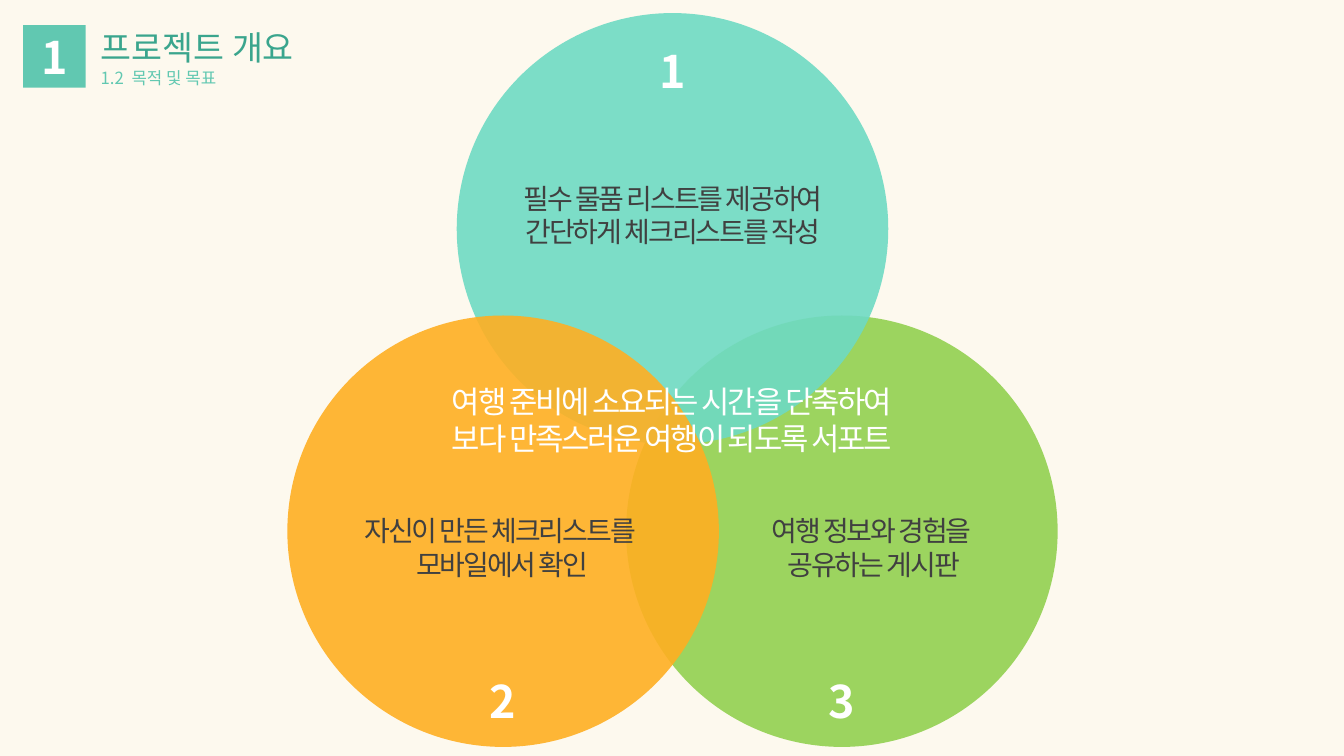
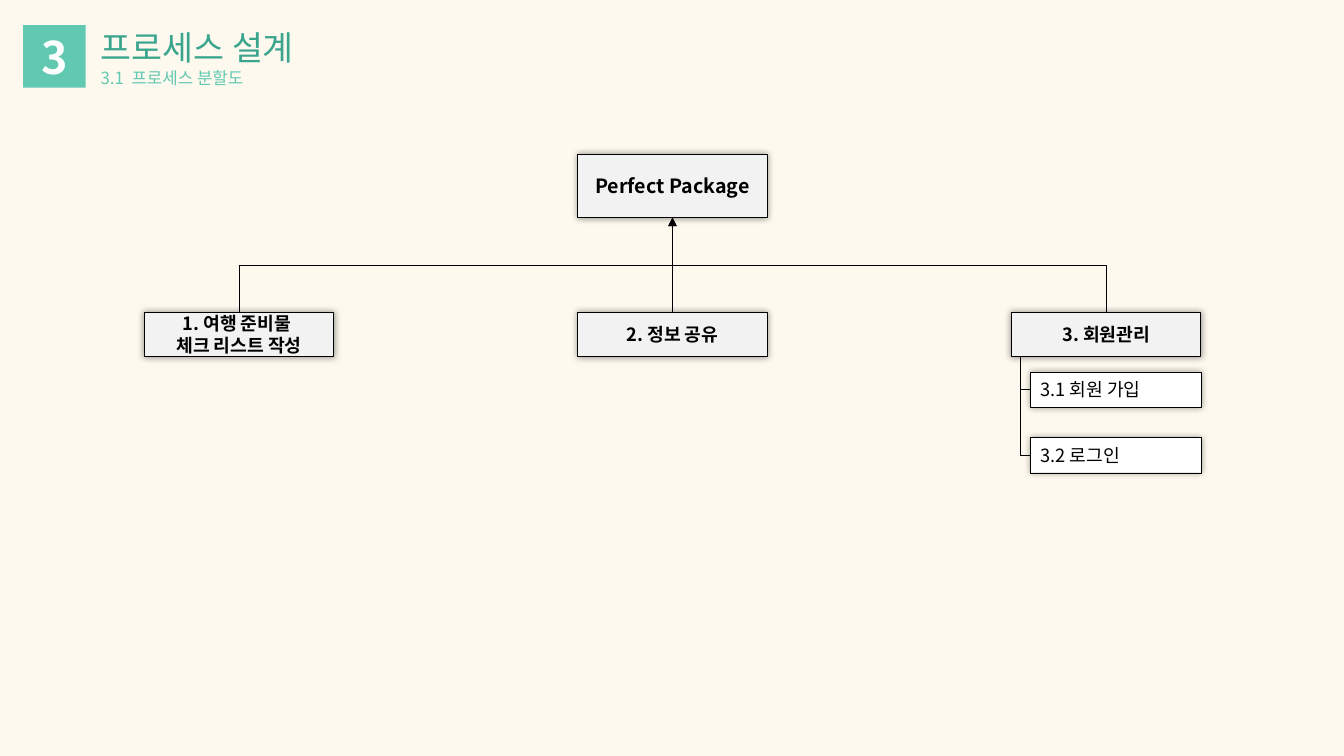
from lxml import etree
from pptx import Presentation
from pptx.dml.color import RGBColor
from pptx.enum.shapes import MSO_CONNECTOR, MSO_SHAPE
from pptx.enum.text import MSO_ANCHOR, PP_ALIGN
from pptx.oxml.ns import qn
from pptx.util import Inches, Pt

RECT, OVAL = MSO_SHAPE.RECTANGLE, MSO_SHAPE.OVAL
STRAIGHT, ELBOW = MSO_CONNECTOR.STRAIGHT, MSO_CONNECTOR.ELBOW
LEFT, CENTER = PP_ALIGN.LEFT, PP_ALIGN.CENTER
TOP, MIDDLE = MSO_ANCHOR.TOP, MSO_ANCHOR.MIDDLE
SITE_TOP, SITE_BOTTOM = 0, 2
TITLE_ONLY = 5

FONT = "Noto Sans CJK KR"
CREAM, MINT, TEAL = "FDF9EE", "61C8B1", "3AA58D"
BLACK, WHITE, DARK, GRAY = "000000", "FFFFFF", "404040", "F2F2F2"
TIGHT = -1.5

# Venn diagram: circles from back to front
DIAMETER = 4.28
CIRCLES = [  # colour, left, top, number, number top
    ("92D050", 6.21, 3.13, "3", 6.63),
    ("6EDAC3", 4.53, 0.13, "1", 0.38),
    ("FFAF22", 2.85, 3.13, "2", 6.63),
]
GOALS = [  # lines, box, size, colour
    (["필수 물품 리스트를 제공하여", "간단하게 체크리스트를 작성"],
     (4.88, 1.75, 3.59, 0.77), 20, DARK),
    (["자신이 만든 체크리스트를 ", "모바일에서 확인"],
     (3.37, 5.05, 3.22, 0.77), 20, DARK),
    (["여행 정보와 경험을 ", "공유하는 게시판"],
     (7.36, 5.05, 2.61, 0.77), 20, DARK),
    (["여행 준비에 소요되는 시간을 단축하여", "보다 만족스러운 여행이 되도록 서포트"],
     (3.99, 3.75, 5.35, 0.84), 22, WHITE),
]

# Process tree
ROOT = ["Perfect Package"]
BRANCHES = [  # lines, children
    (["1. 여행 준비물 ", "체크 리스트 작성"], []),
    (["2. 정보 공유"], []),
    (["3. 회원관리"], ["3.1 회원 가입", "3.2 로그인"]),
]
BOX_W, ROOT_H, BRANCH_H, LEAF_H = 1.88, 0.63, 0.44, 0.35
ROOT_TOP, BRANCH_TOP, LEAF_TOP = 1.53, 3.1, 3.69
MID_LEFT, BRANCH_STEP, LEAF_STEP = 5.73, 4.3, 0.65
LEAF_INDENT, STEM_INDENT = 0.19, 0.09


def rgb(color):
    return RGBColor.from_string(color)


def write(sp, lines, size, color, bold=False, align=CENTER, anchor=TOP,
          spacing=0, wrap=True):
    tf = sp.text_frame
    tf.word_wrap = wrap
    tf.vertical_anchor = anchor
    for i, line in enumerate(lines):
        p = tf.add_paragraph() if i else tf.paragraphs[0]
        p.alignment = align
        r = p.add_run()
        r.text = line
        r.font.name, r.font.size, r.font.bold = FONT, Pt(size), bold
        r.font.color.rgb = rgb(color)
        rpr = r.font._element
        rpr.set("spc", str(int(spacing * 100)))
        ea = etree.Element(qn("a:ea"), typeface=FONT)
        rpr.find(qn("a:latin")).addnext(ea)


def add_text(slide, box, lines, size, color, **fmt):
    sp = slide.shapes.add_textbox(*map(Inches, box))
    write(sp, lines, size, color, **fmt)


def add_shape(slide, kind, box, fill, line=None, alpha=None):
    sp = slide.shapes.add_shape(kind, *map(Inches, box))
    sp.shadow.inherit = False
    sp.fill.solid()
    sp.fill.fore_color.rgb = rgb(fill)
    if alpha:
        clr = sp._element.spPr.find(".//" + qn("a:srgbClr"))
        etree.SubElement(clr, qn("a:alpha"), val=str(alpha * 1000))
    if line:
        sp.line.color.rgb, sp.line.width = rgb(BLACK), Pt(line)
    else:
        sp.line.fill.background()
    return sp


def add_glow_shadow(sp):
    effects = sp._element.spPr.find(qn("a:effectLst"))
    shadow = etree.SubElement(effects, qn("a:outerShdw"), blurRad=str(Pt(5)),
                              dist="0", dir="0", algn="ctr", rotWithShape="0")
    clr = etree.SubElement(shadow, qn("a:srgbClr"), val=BLACK)
    etree.SubElement(clr, qn("a:alpha"), val="40000")


def add_box(slide, box, lines, size=13, fill=GRAY, line=0.75, **fmt):
    sp = add_shape(slide, RECT, box, fill, line)
    add_glow_shadow(sp)
    write(sp, lines, size, BLACK, anchor=MIDDLE, **fmt)
    return sp


def add_line(slide, kind, start, end, width, arrow=False):
    c = slide.shapes.add_connector(kind, *map(Inches, start + end))
    c.line.color.rgb, c.line.width = rgb(BLACK), Pt(width)
    if arrow:
        etree.SubElement(c.line._get_or_add_ln(), qn("a:tailEnd"), type="triangle")
    etree.SubElement(c._element.spPr, qn("a:effectLst"))
    return c


def turn_upright(c, start, end, preset):
    """Make an elbow leave its start vertically: a quarter turn about its centre."""
    (x1, y1), (x2, y2) = start, end
    w, h = abs(y2 - y1), abs(x2 - x1)
    c.left, c.top = Inches((x1 + x2 - w) / 2), Inches((y1 + y2 - h) / 2)
    c.width, c.height = Inches(w), Inches(h)
    sp_pr = c._element.spPr
    xfrm = sp_pr.find(qn("a:xfrm"))
    xfrm.set("rot", str(270 * 60000))
    xfrm.set("flipH", str(int(y2 > y1)))
    xfrm.set("flipV", str(int(x1 > x2)))
    sp_pr.find(qn("a:prstGeom")).set("prst", preset)


def new_slide(prs, number, title, subtitle):
    slide = prs.slides.add_slide(prs.slide_layouts[TITLE_ONLY])
    sp = slide.shapes.title
    sp.left, sp.top, sp.width, sp.height = map(Inches, (0.9, 0.22, 2.33, 0.5))
    write(sp, [title], 24, TEAL, align=LEFT, wrap=False)
    badge = add_shape(slide, RECT, (0.23, 0.25, 0.62, 0.62), MINT)
    write(badge, [number], 32, WHITE, bold=True, anchor=MIDDLE,
          spacing=TIGHT, wrap=False)
    add_text(slide, (0.9, 0.62, 1.82, 0.3), [subtitle], 12, MINT,
             align=LEFT, wrap=False)
    return slide


def build_goals(prs):
    slide = new_slide(prs, "1", "프로젝트 개요", "1.2  목적 및 목표")
    for color, left, top, _, _ in CIRCLES:
        add_shape(slide, OVAL, (left, top, DIAMETER, DIAMETER), color, alpha=90)
    for lines, box, size, color in GOALS:
        add_text(slide, box, lines, size, color, spacing=TIGHT)
    for _, left, _, number, top in CIRCLES:
        add_text(slide, (left, top, DIAMETER, 0.64), [number], 32, WHITE,
                 bold=True, spacing=TIGHT)


def build_process_tree(prs):
    slide = new_slide(prs, "3", "프로세스 설계", "3.1  프로세스 분할도")
    root = add_box(slide, (MID_LEFT, ROOT_TOP, BOX_W, ROOT_H), ROOT, 14, bold=True)
    root_end = (MID_LEFT + BOX_W / 2, ROOT_TOP + ROOT_H)
    for i, (lines, leaves) in enumerate(BRANCHES):
        left = MID_LEFT + (i - 1) * BRANCH_STEP
        branch = add_box(slide, (left, BRANCH_TOP, BOX_W, BRANCH_H), lines, bold=True)
        start = (left + BOX_W / 2, BRANCH_TOP)
        straight = start[0] == root_end[0]
        c = add_line(slide, STRAIGHT if straight else ELBOW, start, root_end,
                     0.5, arrow=True)
        c.begin_connect(branch, SITE_TOP)
        c.end_connect(root, SITE_BOTTOM)
        if not straight:
            turn_upright(c, start, root_end, "bentConnector3")

        stem = (left + STEM_INDENT, BRANCH_TOP + BRANCH_H)
        for j, leaf in enumerate(leaves):
            x, y = left + LEAF_INDENT, LEAF_TOP + j * LEAF_STEP
            add_box(slide, (x, y, BOX_W - LEAF_INDENT, LEAF_H), [leaf],
                    fill=WHITE, line=0.25, align=LEFT)
            leaf_end = (x, y + LEAF_H / 2)
            c = add_line(slide, ELBOW, stem, leaf_end, 0.75)
            turn_upright(c, stem, leaf_end, "bentConnector2")


def main():
    prs = Presentation()
    prs.slide_width, prs.slide_height = Inches(13.33), Inches(7.5)
    background = prs.slide_master.background.fill
    background.solid()
    background.fore_color.rgb = rgb(CREAM)
    build_goals(prs)
    build_process_tree(prs)
    prs.save("out.pptx")


if __name__ == "__main__":
    main()
